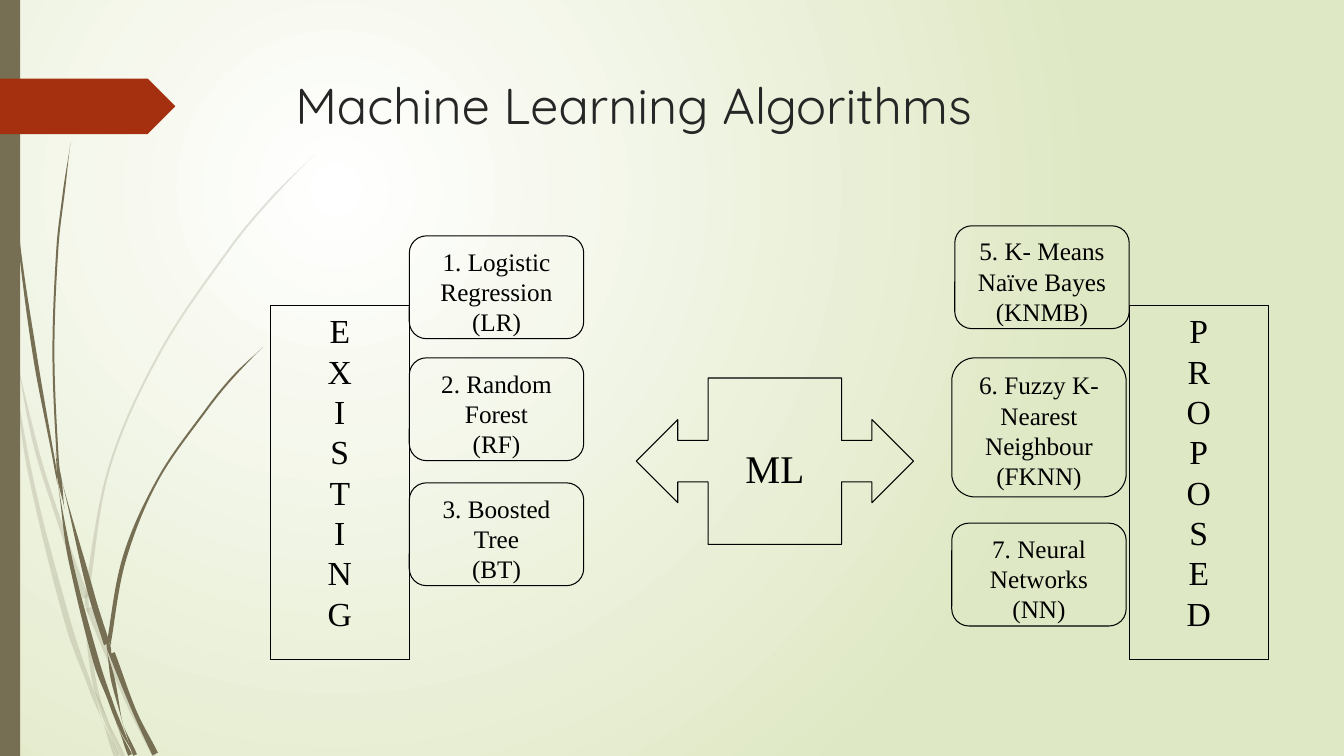
import math
from lxml import etree
from pptx import Presentation
from pptx import util as u
from pptx.dml.color import RGBColor
from pptx.enum import shapes, text
from pptx.oxml.ns import qn

COLORS = {"white": "FFFFFF", "lime": "DFE8C4", "olive": "766F54",
          "rust": "A53010", "title": "262626", "black": "000000"}
SERIF = "Times New Roman"
KIND = shapes.MSO_SHAPE


def add_text(sp, content, size=18, font=SERIF, color="black",
             align=text.PP_ALIGN.CENTER, anchor=text.MSO_ANCHOR.TOP, top=0.05):
    tf = sp.text_frame
    tf.word_wrap = True
    tf.vertical_anchor = anchor
    tf.margin_top = u.Inches(top)
    for i, line in enumerate(content.split("\n")):
        p = tf.paragraphs[0] if i == 0 else tf.add_paragraph()
        p.alignment = align
        r = p.add_run()
        r.text = line
        r.font.size = u.Pt(size)
        r.font.name = font
        r.font.color.rgb = RGBColor.from_string(COLORS[color])


def add_blade(s, knots):
    left, right = [], []
    for i, (x, y, half) in enumerate(knots):
        before, after = knots[max(i - 1, 0)], knots[min(i + 1, len(knots) - 1)]
        dx, dy = after[0] - before[0], after[1] - before[1]
        length = math.hypot(dx, dy)
        dx, dy = dx / length, dy / length
        left.append((x - dy * half, y + dx * half, dx, dy))
        right.insert(0, (x + dy * half, y - dx * half, -dx, -dy))
    outline = left + right
    corners = [(u.Inches(x), u.Inches(y)) for x, y, dx, dy in outline]
    builder = s.shapes.build_freeform(*corners[0], scale=1.0)
    builder.add_line_segments(corners[1:], close=True)
    sp = builder.convert_to_shape()
    lines = sp.element.spPr.findall(".//" + qn("a:lnTo"))
    x0, y0 = min(x for x, y in corners), min(y for x, y in corners)
    for i, (line, a, b) in enumerate(zip(lines, outline, outline[1:])):
        if i == len(knots) - 1:
            continue
        reach = math.hypot(b[0] - a[0], b[1] - a[1]) / 3
        line.tag = qn("a:cubicBezTo")
        for n, (x, y, dx, dy) in enumerate((a, (b[0], b[1], -b[2], -b[3]))):
            pt = etree.Element(qn("a:pt"), x=str(u.Inches(x + dx * reach) - x0),
                               y=str(u.Inches(y + dy * reach) - y0))
            line.insert(n, pt)
    return sp


prs = Presentation()
prs.slide_width, prs.slide_height = u.Inches(13.33), u.Inches(7.5)
s = prs.slides.add_slide(prs.slide_layouts[6])

bg = s.background.fill
bg.gradient()
for stop, name in zip(bg.gradient_stops, ("white", "lime")):
    stop.color.rgb = RGBColor.from_string(COLORS[name])
lin = s.element.find(".//" + qn("a:lin"))
radial = etree.Element(qn("a:path"), path="circle")
etree.SubElement(radial, qn("a:fillToRect"), l="50000", t="50000", r="100000", b="100000")
lin.getparent().replace(lin, radial)

pale_blades = [
    [(0.01, 2.9, 0.04), (0.06, 3.18, 0.03), (0.11, 3.5, 0)],
    [(0.14, 3.45, 0), (0.36, 4.45, 0.02), (0.6, 5.21, 0.02), (0.85, 5.93, 0.03)],
    [(0.88, 6.03, 0.03), (1.25, 6.93, 0.02), (1.53, 7.5, 0.02)],
    [(1.05, 7.11, 0), (1.22, 7.5, 0.02)],
    [(0.11, 3.5, 0), (0.3, 4.7, 0.02), (0.68, 6.2, 0.03), (0.92, 6.88, 0.02), (1.01, 7.14, 0)],
    [(0.84, 5.99, 0), (0.89, 6.46, 0.02), (0.95, 6.83, 0.02), (1.05, 7.11, 0)],
    [(3.12, 1.53, 0), (2.68, 1.98, 0.01), (2.29, 2.45, 0.01), (1.59, 3.49, 0.01),
     (1.09, 4.62, 0.01), (0.87, 5.84, 0.02), (0.88, 5.96, 0)],
    [(1.01, 7.14, 0), (1.16, 7.5, 0.03)],
    [(0.85, 5.86, 0), (0.86, 5.98, 0.02), (0.88, 6.1, 0)],
    [(0.93, 6.83, 0), (1.03, 7.09, 0.02), (1.19, 7.51, 0)],
]
dark_blades = [
    [(0.04, 0, 0), (0.08, 1.1, 0.01), (0.18, 2.33, 0.01), (0.35, 3.55, 0.02),
     (0.55, 4.65, 0.01), (0.57, 4.81, 0)],
    [(0.6, 4.72, 0), (0.91, 5.91, 0.03), (1.06, 6.39, 0.03)],
    [(1.11, 6.48, 0.03), (1.34, 7.07, 0.02), (1.54, 7.48, 0.03)],
    [(0.57, 4.77, 0), (0.7, 5.56, 0.02), (0.96, 6.58, 0.03), (1.11, 7, 0.02), (1.17, 7.22, 0)],
    [(0.7, 1.41, 0), (0.63, 1.93, 0.01), (0.57, 2.45, 0.01), (0.53, 3.49, 0.01),
     (0.57, 4.51, 0.01), (0.6, 4.72, 0)],
    [(1.22, 7.19, 0), (1.34, 7.49, 0.02)],
    [(0.55, 4.49, 0), (0.59, 4.75, 0.02), (0.64, 5.05, 0)],
    [(2.61, 3.44, 0), (2.31, 3.74, 0.01), (2.05, 4.06, 0.01), (1.57, 4.75, 0.01),
     (1.24, 5.52, 0.02), (1.09, 6.32, 0.02), (1.1, 6.41, 0)],
    [(1.17, 7.22, 0), (1.29, 7.49, 0.02)],
    [(1.06, 6.45, 0), (1.12, 6.74, 0.02), (1.22, 7.19, 0)],
    [(1.06, 6.31, 0), (1.08, 6.43, 0.02), (1.11, 6.56, 0)],
    [(1.1, 6.91, 0), (1.19, 7.2, 0.02), (1.33, 7.49, 0)],
]
for blades, alpha in ((pale_blades, 20), (dark_blades, 100)):
    for knots in blades:
        sp = add_blade(s, knots)
        sp.shadow.inherit = False
        sp.line.fill.background()
        sp.fill.solid()
        sp.fill.fore_color.rgb = RGBColor.from_string(COLORS["olive"])
        if alpha < 100:
            clr = sp.element.spPr.find(".//" + qn("a:srgbClr"))
            etree.SubElement(clr, qn("a:alpha"), val=str(alpha * 1000))

for kind, at, color in ((KIND.RECTANGLE, (0, 0, 0.2, 7.5), "olive"),
                        (KIND.PENTAGON, (0, 0.78, 1.74, 0.55), "rust")):
    sp = s.shapes.add_shape(kind, *map(u.Inches, at))
    sp.shadow.inherit = False
    sp.fill.solid()
    sp.fill.fore_color.rgb = RGBColor.from_string(COLORS[color])
    sp.line.fill.background()

title = s.shapes.add_textbox(*map(u.Inches, (2.83, 0.69, 9.75, 1.4)))
add_text(title, "Machine Learning Algorithms", size=36, font="Quicksand",
         color="title", align=text.PP_ALIGN.LEFT)

ROUND = KIND.ROUNDED_RECTANGLE
diagram = [
    (KIND.RECTANGLE, (2.68, 3.03, 1.38, 3.51), "\n".join("EXISTING"), {"size": 24}),
    (ROUND, (4.06, 2.34, 1.73, 1.02), "1. Logistic Regression (LR)", {}),
    (ROUND, (4.06, 3.55, 1.73, 1.02), "2. Random\nForest\n(RF)", {}),
    (ROUND, (4.06, 4.79, 1.73, 1.02), "3. Boosted\nTree\n(BT)", {}),
    (KIND.LEFT_RIGHT_ARROW_CALLOUT, (6.31, 3.75, 2.75, 1.65), "ML",
     {"size": 28, "anchor": text.MSO_ANCHOR.MIDDLE, "top": 0.18}),
    (ROUND, (9.47, 2.24, 1.73, 1.02), "5. K- Means Naïve Bayes (KNMB)", {}),
    (ROUND, (9.44, 3.55, 1.73, 1.38), "6. Fuzzy K-Nearest Neighbour (FKNN)", {}),
    (ROUND, (9.44, 5.19, 1.73, 1.02), "7. Neural Networks (NN)", {}),
    (KIND.RECTANGLE, (11.2, 3.03, 1.38, 3.51), "\n".join("PROPOSED"), {"size": 24}),
]
for kind, at, label, style in diagram:
    sp = s.shapes.add_shape(kind, *map(u.Inches, at))
    sp.shadow.inherit = False
    sp.fill.background()
    sp.line.color.rgb = RGBColor.from_string(COLORS["black"])
    sp.line.width = u.Pt(0.75)
    add_text(sp, label, **style)

prs.save("out.pptx")
